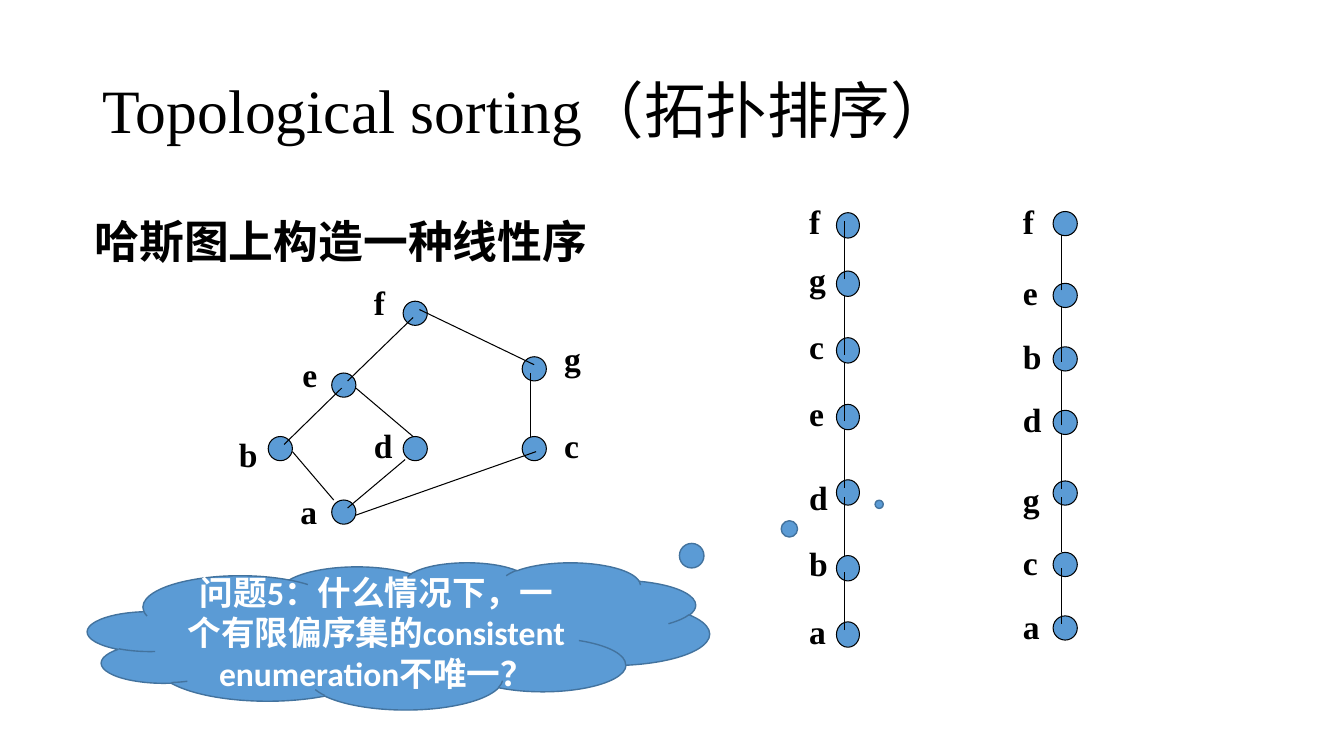
from lxml.etree import SubElement
from pptx import Presentation
from pptx.dml.color import RGBColor
from pptx.enum.shapes import MSO_CONNECTOR as Connector, MSO_SHAPE as Shape
from pptx.enum.text import MSO_ANCHOR as Anchor, PP_ALIGN as Align
from pptx.oxml.ns import qn
from pptx.util import Cm, Pt

BLACK, WHITE, BLUE, DARK_BLUE = "000000", "FFFFFF", "5B9BD5", "43739E"
SERIF = "Times New Roman"


def color(hex_code):
    return RGBColor.from_string(hex_code)


def write(shape, text, size, font=SERIF, hex_code=BLACK, bold=True):
    frame = shape.text_frame
    frame.word_wrap = True
    frame.text = text
    run_font = frame.paragraphs[0].runs[0].font
    run_font.name, run_font.size, run_font.bold = font, Pt(size), bold
    run_font.color.rgb = color(hex_code)
    return frame


prs = Presentation()
prs.slide_width, prs.slide_height = Cm(33.87), Cm(19.05)
slide = prs.slides.add_slide(prs.slide_layouts[6])
shapes = slide.shapes

# Title
title = shapes.add_textbox(Cm(2.33), Cm(1.02), Cm(29.21), Cm(3.68))
title_frame = write(title, "Topological sorting（拓扑排序）", 44, bold=False)
title_frame.vertical_anchor = Anchor.MIDDLE
title_frame.paragraphs[0].line_spacing = 0.9

# Hasse diagram: name, node left and top, label left and top
hasse_points = [
    ("a", 8.36, 12.6, 7.32, 12.24),
    ("d", 10.16, 11, 9.17, 10.59),
    ("b", 6.76, 11, 5.77, 10.8),
    ("e", 8.36, 9.4, 7.37, 8.79),
    ("f", 10.16, 7.59, 9.17, 6.99),
    ("c", 13.16, 11, 13.97, 10.59),
    ("g", 13.16, 8.99, 13.97, 8.38),
]
hasse_edges = [
    (8.76, 12.8, 10.21, 11.58),   # a-d
    (8.41, 12.6, 7.37, 11.38),    # a-b
    (7.16, 11.2, 8.61, 9.78),     # b-e
    (10.41, 11, 8.97, 9.78),      # d-e
    (8.76, 9.6, 10.41, 8),        # e-f
    (8.97, 12.98, 13.51, 11.38),  # a-c
    (13.36, 11, 13.36, 9.4),      # c-g
    (13.46, 9.19, 10.57, 7.8),    # g-f
]
diagrams = [(hasse_points, hasse_edges, 0.61, 0.61)]

# Linear orders: node left, node width and height, label left, edge x and length,
# then for each element its name, node top, label top and start of the edge above
linear_orders = [
    (21.08, 0.58, 0.64, 20.14, 21.29, 1.47, [
        ("a", 15.67, 15.27, 15.88), ("b", 14, 13.56, 14), ("d", 12.09, 11.89, 12.29),
        ("e", 10.19, 9.78, 10.62), ("c", 8.51, 8.1, 8.94), ("g", 6.83, 6.4, 7.04),
        ("f", 5.36, 4.93, None)]),
    (26.54, 0.61, 0.61, 25.53, 26.75, 1.4, [
        ("a", 15.52, 15.14, 15.72), ("c", 13.92, 13.54, 13.92), ("g", 12.12, 11.94, 12.32),
        ("d", 10.34, 9.93, 10.72), ("b", 8.74, 8.33, 9.12), ("e", 7.14, 6.73, 7.32),
        ("f", 5.33, 4.93, None)]),
]
for node_x, node_w, node_h, label_x, edge_x, edge_length, elements in linear_orders:
    points = [(name, node_x, node_y, label_x, label_y)
              for name, node_y, label_y, _ in elements]
    edges = [(edge_x, start, edge_x, start - edge_length)
             for _, _, _, start in elements[:-1]]
    diagrams.append((points, edges, node_w, node_h))

# Nodes, edges and labels of all three diagrams
for points, edges, node_w, node_h in diagrams:
    for _, node_x, node_y, _, _ in points:
        node = shapes.add_shape(Shape.OVAL, Cm(node_x), Cm(node_y), Cm(node_w), Cm(node_h))
        node.shadow.inherit = False
        node.fill.solid()
        node.fill.fore_color.rgb = color(BLUE)
        node.line.color.rgb = color(BLACK)
        node.line.width = Pt(0.75)
    for ends in edges:
        edge = shapes.add_connector(Connector.STRAIGHT, *[Cm(end) for end in ends])
        edge.line.color.rgb = color(BLACK)
        edge.line.width = Pt(0.75)
        SubElement(edge._element.spPr, qn("a:effectLst"))
    for name, _, _, label_x, label_y in points:
        label = shapes.add_textbox(Cm(label_x), Cm(label_y), Cm(0.97), Cm(1.28))
        write(label, name, 24)

# Subtitle
subtitle = shapes.add_textbox(Cm(2.13), Cm(5.26), Cm(13.11), Cm(1.63))
subtitle_line = write(subtitle, "哈斯图上构造一种线性序", 32).paragraphs[0]
subtitle_line.alignment = Align.JUSTIFY
subtitle_line.space_after = Pt(6)

# Question cloud
cloud = shapes.add_shape(Shape.CLOUD_CALLOUT, Cm(2.21), Cm(14.17), Cm(15.67), Cm(3.71))
cloud.adjustments[0], cloud.adjustments[1] = 0.773, -0.894
cloud.shadow.inherit = False
cloud.fill.solid()
cloud.fill.fore_color.rgb = color(BLUE)
cloud.line.color.rgb = color(DARK_BLUE)
cloud.line.width = Pt(1)
question = write(cloud, "问题5：什么情况下，一个有限偏序集的consistent enumeration不唯一？",
                 24, "Calibri", WHITE)
question.vertical_anchor = Anchor.MIDDLE
question.paragraphs[0].alignment = Align.CENTER

prs.save("out.pptx")
